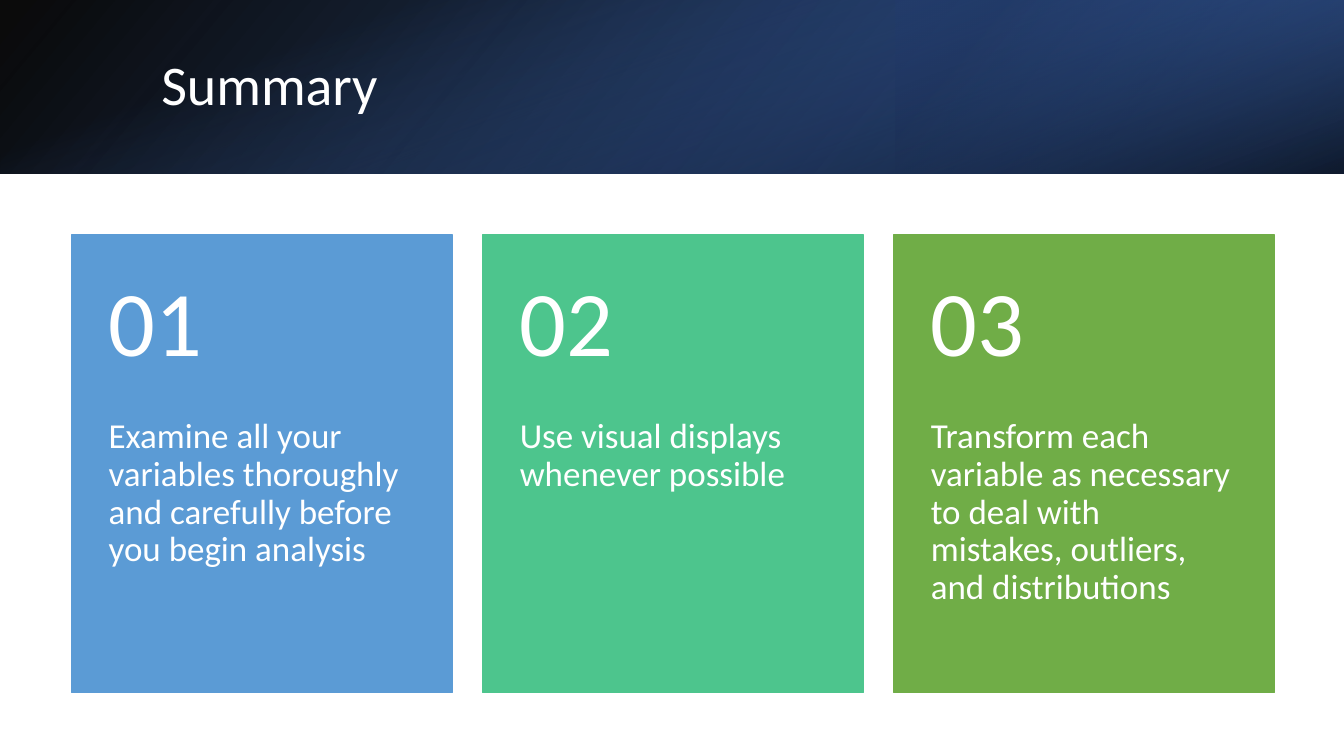
"""Build the Summary slide: a layered gradient header above three numbered cards."""
from dataclasses import dataclass

from lxml import etree
from pptx import Presentation
from pptx import util as u
from pptx.dml.color import RGBColor
from pptx.enum import shapes, text
from pptx.oxml.ns import qn

COLOURS = {
    "white": "FFFFFF", "black": "000000", "deep": "2F5597", "navy": "203864",
    "accent": "4472C4", "blue": "5B9BD5", "mint": "4DC58D", "green": "70AD47",
}
FONT = "Calibri"
SLIDE_WIDTH, SLIDE_HEIGHT = 33.87, 19.05
HEADER_HEIGHT = 4.38
CARD_LEFT, CARD_TOP, CARD_PITCH = 1.8, 5.92, 10.36
CARD_WIDTH, CARD_HEIGHT, NUMBER_HEIGHT = 9.6, 11.53, 4.62
SIDE_INSET = 0.94


@dataclass
class Stop:
    """A gradient stop with position and opacity in percent."""
    position: int
    colour: str
    opacity: int


@dataclass
class Band:
    """A gradient layer of the header, placed as it appears after rotation."""
    left: float
    width: float
    stops: tuple[Stop, Stop]
    angle: int
    rotation: int = 0
    flipped: bool = False


@dataclass
class Card:
    """A numbered takeaway."""
    colour: str
    message: str


BANDS = [
    Band(0, SLIDE_WIDTH, (Stop(0, "black", 96), Stop(100, "deep", 100)), 140, flipped=True),
    Band(SLIDE_WIDTH * 2 / 3, SLIDE_WIDTH / 3,
         (Stop(19, "navy", 68), Stop(100, "accent", 79)), 320, 180, True),
    Band(0, SLIDE_WIDTH, (Stop(23, "accent", 0), Stop(99, "black", 74)), 340, 90),
]
CARDS = [
    Card("blue", "Examine all your variables thoroughly and carefully before you begin analysis"),
    Card("mint", "Use visual displays whenever possible"),
    Card("green", "Transform each variable as necessary to deal with mistakes, outliers, "
                  "and distributions"),
]


def rgb(colour: str) -> RGBColor:
    """Return the named colour."""
    return RGBColor.from_string(COLOURS[colour])


def add_rectangle(slide, left: float, top: float, width: float, height: float):
    """Add a rectangle without shadow, measured in centimetres."""
    rectangle = slide.shapes.add_shape(
        shapes.MSO_SHAPE.RECTANGLE, u.Cm(left), u.Cm(top), u.Cm(width), u.Cm(height))
    rectangle.shadow.inherit = False
    return rectangle


def add_band(slide, band: Band) -> None:
    """Draw one translucent gradient layer across the header."""
    width, height = band.width, HEADER_HEIGHT
    if band.rotation == 90:
        width, height = height, width
    layer = add_rectangle(slide, band.left + (band.width - width) / 2,
                          (HEADER_HEIGHT - height) / 2, width, height)
    layer.rotation = band.rotation
    layer.line.fill.background()
    layer.fill.gradient()
    layer.fill.gradient_angle = 360 - band.angle
    for gradient_stop, stop in zip(layer.fill.gradient_stops, band.stops):
        gradient_stop.position = stop.position / 100
        gradient_stop.color.rgb = rgb(stop.colour)
    properties = layer._element.spPr
    for tint, stop in zip(properties.iter(qn("a:srgbClr")), band.stops):
        etree.SubElement(tint, qn("a:alpha")).set("val", str(stop.opacity * 1000))
    if band.flipped:
        properties.find(qn("a:xfrm")).set("flipH", "1")


def write(frame, words: str, size: int) -> None:
    """Write one white left-aligned paragraph into a text frame."""
    frame.word_wrap = True
    paragraph = frame.paragraphs[0]
    paragraph.alignment = text.PP_ALIGN.LEFT
    paragraph.line_spacing = 0.9
    run = paragraph.add_run()
    run.text = words
    run.font.name = FONT
    run.font.size = u.Pt(size)
    run.font.color.rgb = rgb("white")


def add_label(slide, left: float, top: float, height: float, insets: tuple[float, float],
              anchor: text.MSO_ANCHOR, words: str, size: int) -> None:
    """Add a card-wide text box with the given top and bottom insets."""
    frame = slide.shapes.add_textbox(
        u.Cm(left), u.Cm(top), u.Cm(CARD_WIDTH), u.Cm(height)).text_frame
    frame.margin_left = frame.margin_right = u.Cm(SIDE_INSET)
    frame.margin_top, frame.margin_bottom = map(u.Cm, insets)
    frame.vertical_anchor = anchor
    write(frame, words, size)


def add_card(slide, index: int, card: Card) -> None:
    """Draw a card with its message and number."""
    left = CARD_LEFT + index * CARD_PITCH
    panel = add_rectangle(slide, left, CARD_TOP, CARD_WIDTH, CARD_HEIGHT)
    panel.fill.solid()
    panel.fill.fore_color.rgb = rgb(card.colour)
    panel.line.color.rgb = rgb(card.colour)
    panel.line.width = u.Pt(1)
    add_label(slide, left, CARD_TOP + NUMBER_HEIGHT, CARD_HEIGHT - NUMBER_HEIGHT,
              (0, 0.91), text.MSO_ANCHOR.TOP, card.message, 25)
    add_label(slide, left, CARD_TOP, NUMBER_HEIGHT,
              (0.46, 0.46), text.MSO_ANCHOR.MIDDLE, f"{index + 1:02}", 66)


def add_title(slide, words: str) -> None:
    """Place the title placeholder in front of the header."""
    title = slide.shapes.title
    title.left, title.top, title.width, title.height = map(u.Cm, (3.81, 0.97, 27.89, 2.44))
    title.text_frame.vertical_anchor = text.MSO_ANCHOR.MIDDLE
    write(title.text_frame, words, 40)
    slide.shapes._spTree.append(title._element)


def main() -> None:
    """Build and save the presentation."""
    presentation = Presentation()
    presentation.slide_width = u.Cm(SLIDE_WIDTH)
    presentation.slide_height = u.Cm(SLIDE_HEIGHT)
    slide = presentation.slides.add_slide(presentation.slide_layouts[5])
    for band in BANDS:
        add_band(slide, band)
    add_title(slide, "Summary")
    for index, card in enumerate(CARDS):
        add_card(slide, index, card)
    presentation.save("out.pptx")


if __name__ == "__main__":
    main()
